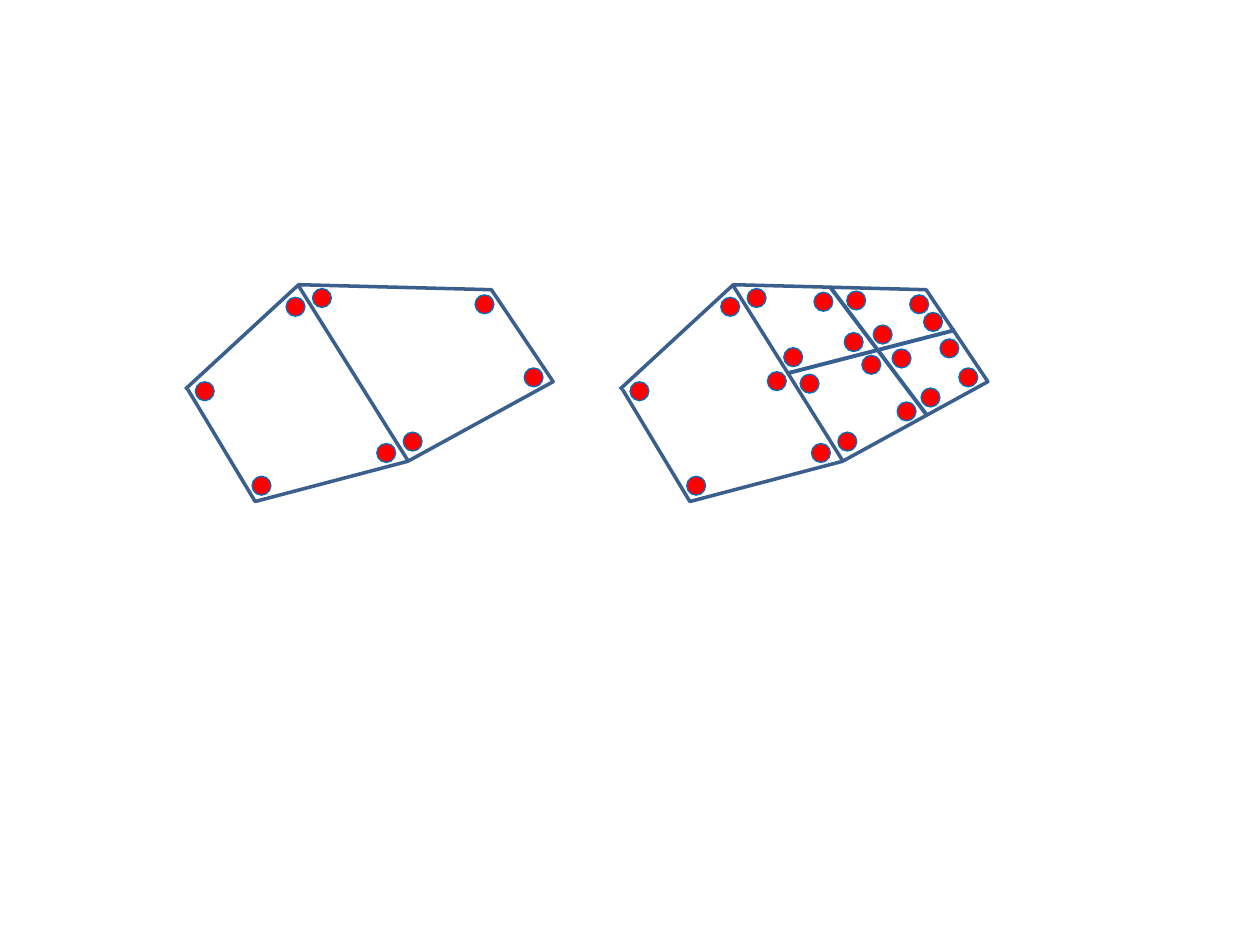
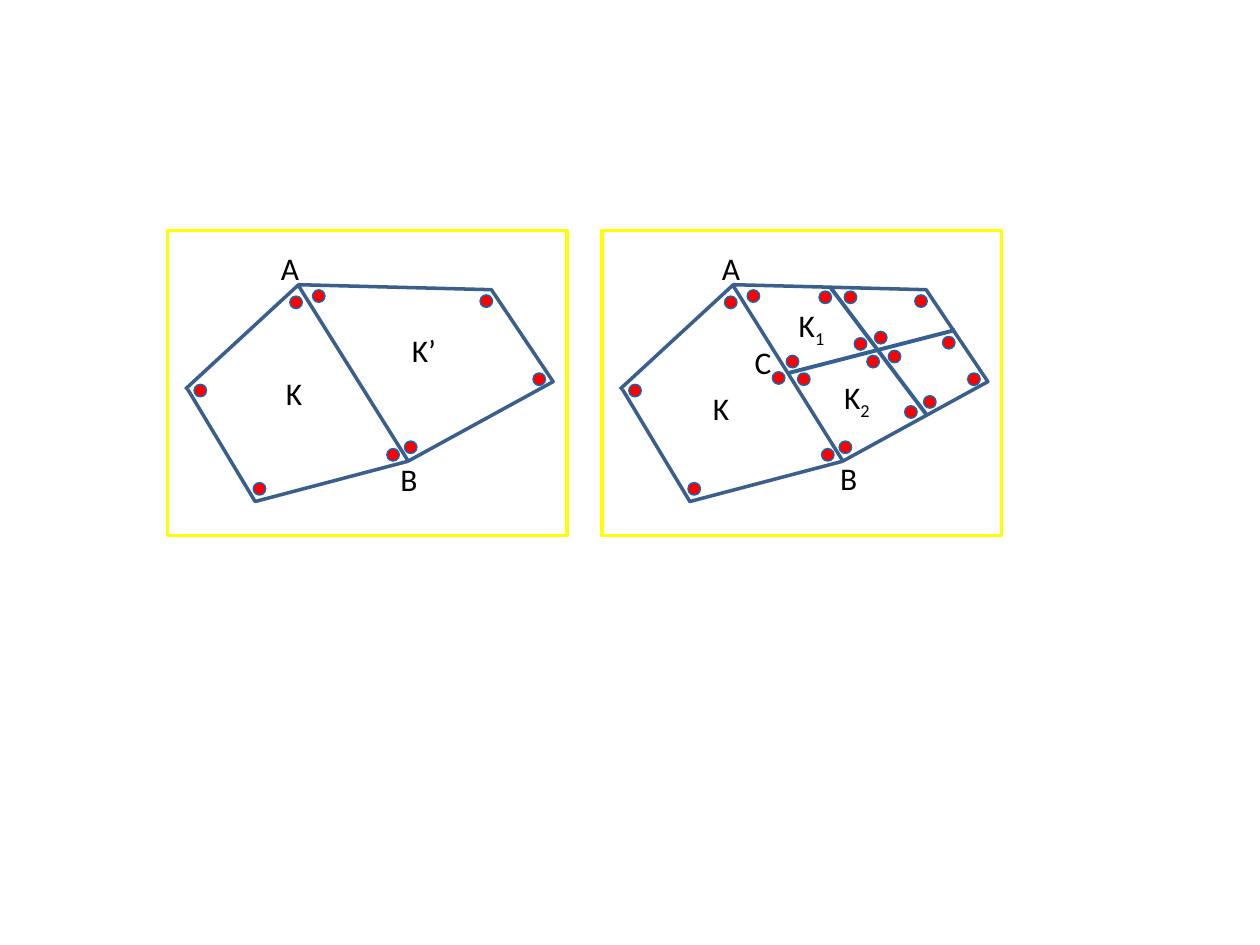
from lxml.etree import SubElement
from pptx import Presentation
from pptx.dml.color import RGBColor
from pptx.enum.shapes import MSO_CONNECTOR as Connector, MSO_SHAPE as Shape
from pptx.enum.text import MSO_AUTO_SIZE as AutoSize
from pptx.oxml.ns import qn
from pptx.util import Inches, Pt

COLUMNS, ROWS = 100, 75
CELL = Inches(10) // COLUMNS
MESH_SHIFT = 34.5
EDGE, SPLIT, DOT, DOT_EDGE, FRAME, INK = "3A5F8C", "376092", "FF0000", "0070C0", "FFFF00", "000000"
LABEL_FONT = {"name": "Calibri", "size": Pt(18)}

UPPER_OUTLINE = [(14.7, 30.9), (23.7, 22.6), (39, 23), (43.9, 30.3), (32.4, 36.6), (23.7, 22.7)]
LOWER_OUTLINE = [(14.9, 30.9), (20.25, 39.8), (32.4, 36.6)]
SPLIT_LINES = [((62.6, 29.6), (75.8, 26.2)), ((65.9, 22.8), (73.6, 33))]

LARGE_DOT, SMALL_DOT = 1.5, 1
LARGE_CORNERS = [(22.7, 23.6), (37.7, 23.4), (41.6, 29.2), (15.5, 30.3),
                 (29.9, 35.2), (20, 37.8), (24.8, 22.9), (32, 34.3)]
LARGE_REFINED = [(64.6, 23.2), (67, 26.4), (71.2, 31.9), (73.3, 24.8), (62.2, 27.6),
                 (67.2, 23.1), (69.3, 25.8), (74.6, 26.9), (68.4, 28.2), (73.1, 30.8),
                 (63.5, 29.7), (70.8, 27.7), (60.9, 29.5)]
SMALL_CORNERS = [(38.1, 23.4), (42.3, 29.6), (24.8, 23), (15.4, 30.5),
                 (20.1, 38.3), (30.7, 35.6), (32.1, 35), (23, 23.5)]
SMALL_REFINED = [(67.8, 26.8), (68.8, 28.2), (69.4, 26.3), (70.5, 27.8), (67, 23.1),
                 (74.8, 26.7), (73.3, 31.4), (71.8, 32.2), (63.3, 29.6), (62.4, 28.2),
                 (65, 23.1), (61.3, 29.5)]

LABELS = [("A", "", 21.3, 19.3, 3.5), ("B", "", 30.8, 36, 3.4),
          ("K", "", 21.7, 29.2, 3.3), ("K’", "", 31.7, 25.8, 4),
          ("A", "", 56.3, 19.3, 3.5), ("B", "", 65.7, 35.9, 3.4),
          ("C", "", 58.9, 26.7, 3.4), ("K", "", 55.6, 30.4, 3.3),
          ("K", "1", 62.4, 23.8, 4.2), ("K", "2", 66, 29.5, 4.2)]


def color(hex_string):
    """Turn a hex string into a colour."""
    return RGBColor.from_string(hex_string)


def grid(*lengths):
    """Convert grid cells to slide units."""
    return [round(length * CELL) for length in lengths]


def set_format(target, values):
    """Set each attribute of the target from a dict."""
    for name, value in values.items():
        setattr(target, name, value)


def style(shape, line_color, width, fill=None):
    """Give a shape its line and fill without a shadow."""
    shape.shadow.inherit = False
    shape.line.color.rgb = color(line_color)
    shape.line.width = Pt(width)
    if fill:
        shape.fill.solid()
        shape.fill.fore_color.rgb = color(fill)
    else:
        shape.fill.background()


def add_outline(slide, points, shift):
    """Draw an open outline through the points."""
    start, *others = [grid(column + shift, row) for column, row in points]
    builder = slide.shapes.build_freeform(*start)
    builder.add_line_segments(others, close=False)
    style(builder.convert_to_shape(), EDGE, 2)


def add_split(slide, start, end):
    """Draw a line that divides the refined cell."""
    line = slide.shapes.add_connector(Connector.STRAIGHT, *grid(*start, *end))
    line.line.color.rgb = color(SPLIT)
    line.line.width = Pt(2.25)
    SubElement(line._element.spPr, qn("a:effectLst"))


def add_dots(slide, positions, size, shift=0):
    """Place a round dot at each position."""
    for column, row in positions:
        dot = slide.shapes.add_shape(Shape.OVAL, *grid(column + shift, row, size, size))
        style(dot, DOT_EDGE, 0.75, DOT)


def add_label(slide, text, subscript, column, row, width):
    """Write a letter with an optional subscript."""
    frame = slide.shapes.add_textbox(*grid(column, row, width, 4)).text_frame
    set_format(frame, {"word_wrap": False, "auto_size": AutoSize.SHAPE_TO_FIT_TEXT})
    paragraph = frame.paragraphs[0]
    for part in filter(None, (text, subscript)):
        run = paragraph.add_run()
        run.text = part
        set_format(run.font, LABEL_FONT)
        run.font.color.rgb = color(INK)
    if subscript:
        run._r.get_or_add_rPr().set("baseline", "-25000")


def add_frame(slide, shift):
    """Draw the rectangle around one mesh."""
    frame = slide.shapes.add_shape(Shape.RECTANGLE, *grid(13.3 + shift, 18.3, 31.7, 24.2))
    style(frame, FRAME, 2)


def add_mesh_slide(presentation, corners, refined, dot_size):
    """Add a slide with the coarse mesh and the refined mesh."""
    slide = presentation.slides.add_slide(presentation.slide_layouts[6])
    for start, end in SPLIT_LINES:
        add_split(slide, start, end)
    for shift in (0, MESH_SHIFT):
        add_outline(slide, UPPER_OUTLINE, shift)
        add_outline(slide, LOWER_OUTLINE, shift)
        add_dots(slide, corners, dot_size, shift)
    add_dots(slide, refined, dot_size)
    return slide


def main():
    """Build both slides and save them."""
    presentation = Presentation()
    set_format(presentation, {"slide_width": COLUMNS * CELL, "slide_height": ROWS * CELL})
    add_mesh_slide(presentation, LARGE_CORNERS, LARGE_REFINED, LARGE_DOT)
    labelled = add_mesh_slide(presentation, SMALL_CORNERS, SMALL_REFINED, SMALL_DOT)
    for label in LABELS:
        add_label(labelled, *label)
    for shift in (0, MESH_SHIFT):
        add_frame(labelled, shift)
    presentation.save("out.pptx")


if __name__ == "__main__":
    main()
